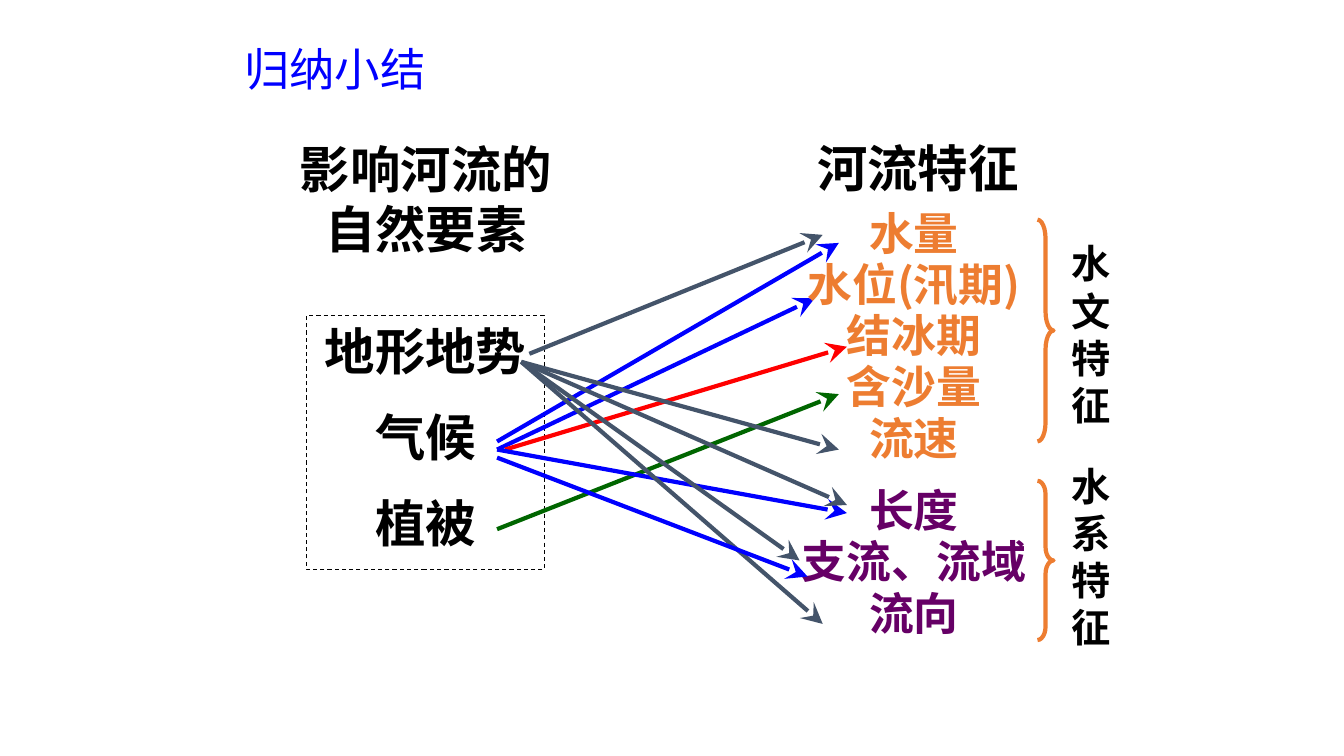
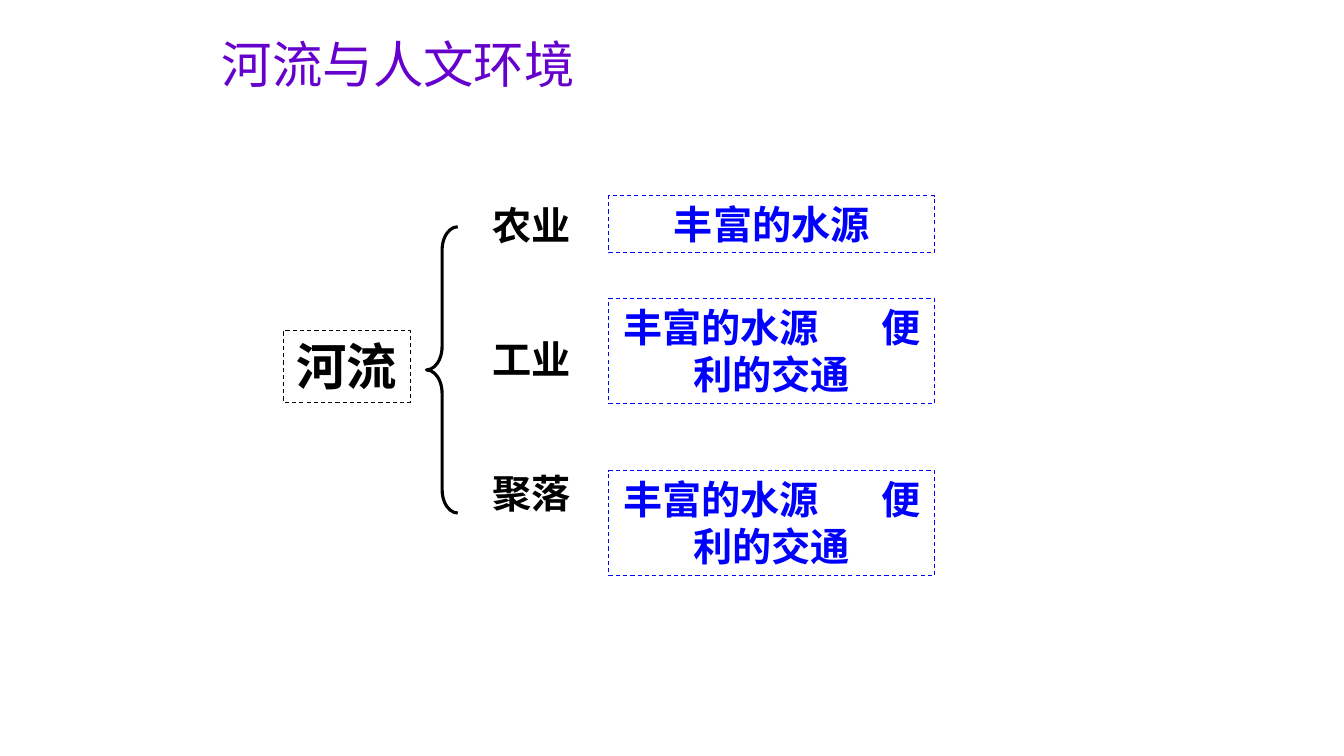
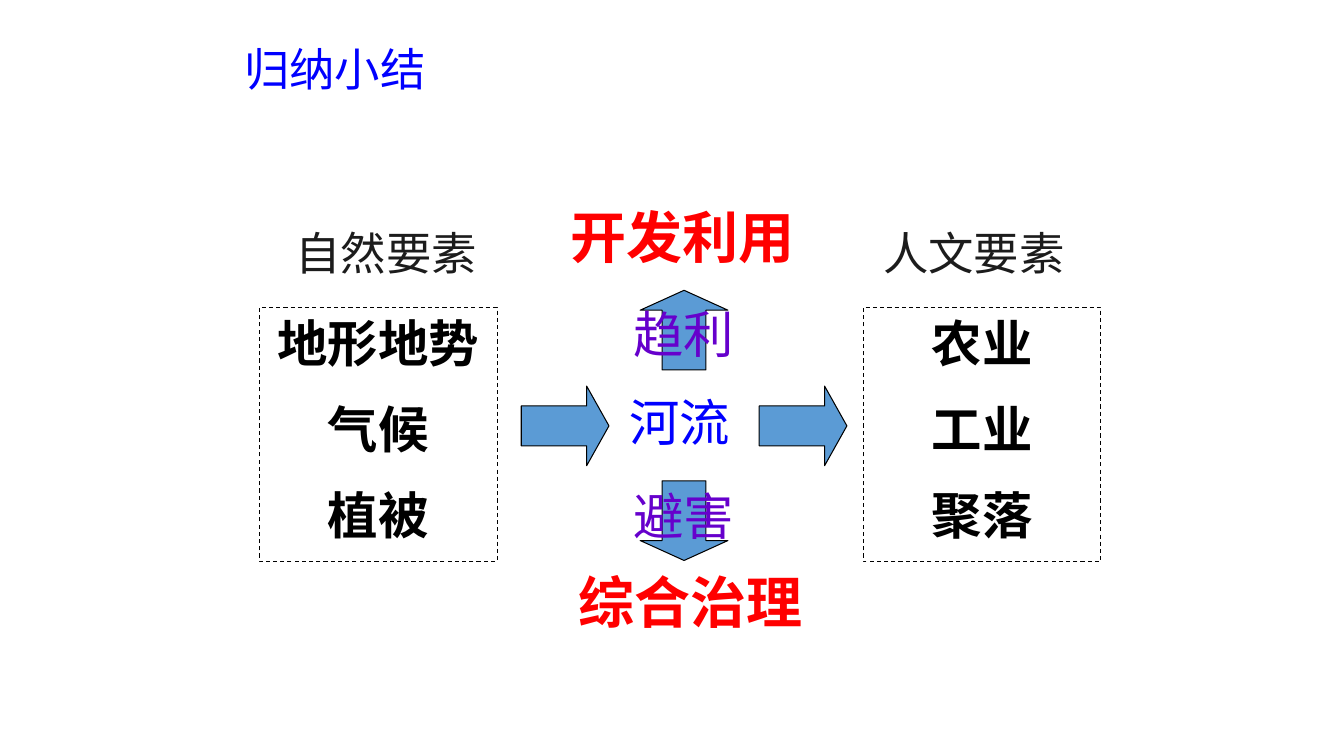
"""Build three slides on rivers, their natural causes and their human uses."""
import dataclasses

import lxml.etree
import pptx
import pptx.dml.color
import pptx.enum.dml
import pptx.enum.shapes
import pptx.enum.text
import pptx.oxml.ns
import pptx.util

Inches = pptx.util.Inches
Shape = pptx.enum.shapes.MSO_SHAPE
Align = pptx.enum.text.PP_ALIGN
qn = pptx.oxml.ns.qn


@dataclasses.dataclass(frozen=True)
class Theme:
    """Colours, fonts and type sizes shared by the slides."""
    black: str = "000000"
    ink: str = "1C1C1C"
    blue: str = "0000FF"
    red: str = "FF0000"
    green: str = "006600"
    slate: str = "44546A"
    orange: str = "ED7D31"
    plum: str = "660066"
    violet: str = "6600CC"
    sky: str = "5B9BD5"
    latin: str = "Arial"
    chinese: str = "Noto Sans CJK SC"
    small: float = 28
    list: float = 32
    title: float = 32.4
    large: float = 36
    huge: float = 40
    leading: float = 1.2
    tight: float = 1.14


THEME = Theme()
NATURE = ["地形地势", "气候", "植被"]
HUMAN = ["农业", "工业", "聚落"]


@dataclasses.dataclass(frozen=True)
class Style:
    """Look of the text in one box."""
    size: float = THEME.large
    color: str = THEME.black
    font: str = THEME.latin
    bold: bool = True
    align: Align = Align.CENTER
    leading: float = THEME.leading
    before: float = 0
    wrap: bool = True
    word_gap: float = 0


HEADING = Style()
STACK = Style(before=18)
SIDE = Style(size=THEME.small, align=Align.LEFT)
NEED = Style(size=THEME.small, color=THEME.blue, word_gap=38)
SLOGAN = Style(size=THEME.huge, color=THEME.red, align=Align.LEFT)
SUMMARY = Style(size=THEME.title, color=THEME.blue, font=THEME.chinese,
                bold=False, wrap=False)
TOPIC = dataclasses.replace(SUMMARY, size=THEME.large, color=THEME.violet)
RIVER = dataclasses.replace(TOPIC, color=THEME.blue)
FACTOR = dataclasses.replace(SUMMARY, color=THEME.ink)
WATER = Style(size=THEME.list, color=THEME.orange, font=THEME.chinese,
              leading=THEME.tight)
SYSTEM = dataclasses.replace(WATER, color=THEME.plum)


def rgb(code):
    """Return the colour for a hex code."""
    return pptx.dml.color.RGBColor.from_string(code)


def set_line(shape, color, width, dashed=False):
    """Set the outline of a shape or connector."""
    shape.line.color.rgb = rgb(color)
    shape.line.width = pptx.util.Pt(width)
    if dashed:
        shape.line.dash_style = pptx.enum.dml.MSO_LINE.DASH


def add_run(para, text, style):
    """Add one formatted run to a paragraph."""
    span = para.add_run()
    span.text = text
    span.font.size = pptx.util.Pt(style.size)
    span.font.bold = style.bold
    span.font.name = style.font
    span.font.color.rgb = rgb(style.color)
    if style.font == THEME.chinese:
        east = lxml.etree.SubElement(span.font._element, qn("a:ea"))
        east.set("typeface", style.font)
    if text == " ":
        span.font._element.set("spc", str(int(style.word_gap * 100)))


def write(box, lines, style):
    """Fill a box with one paragraph per line."""
    frame = box.text_frame
    frame.word_wrap = style.wrap
    frame.auto_size = pptx.enum.text.MSO_AUTO_SIZE.NONE
    frame.vertical_anchor = pptx.enum.text.MSO_ANCHOR.TOP
    for index, line in enumerate(lines):
        para = frame.add_paragraph() if index else frame.paragraphs[0]
        properties = para._p.get_or_add_pPr()
        properties.set("marL", "0")
        properties.set("indent", "0")
        lxml.etree.SubElement(properties, qn("a:buNone"))
        para.alignment = style.align
        para.line_spacing = pptx.util.Pt(style.size * style.leading)
        para.space_before = pptx.util.Pt(style.before if index else 0)
        for position, word in enumerate(line.split(" ")):
            if position:
                add_run(para, " ", style)
            add_run(para, word, style)


def fill_placeholder(page, index, at, lines, style, border=None):
    """Move a placeholder to its place in front and fill it."""
    box = page.placeholders[index]
    box.left, box.top, box.width, box.height = map(Inches, at)
    page.shapes.element.append(box.element)
    write(box, lines, style)
    if border:
        set_line(box, border, 0.75, dashed=True)


def add_text(page, at, lines, style):
    """Add a plain text box."""
    write(page.shapes.add_textbox(*map(Inches, at)), lines, style)


def add_figure(page, kind, at, adjustments=(), fill=None):
    """Add a preset shape without shadow."""
    shape = page.shapes.add_shape(kind, *map(Inches, at))
    shape.shadow.inherit = False
    for index, value in enumerate(adjustments):
        shape.adjustments[index] = value
    if fill:
        shape.fill.solid()
        shape.fill.fore_color.rgb = rgb(fill)
    else:
        shape.fill.background()
    return shape


def add_frame(page, at, lines, style):
    """Add a dashed rectangle with text in the colour of its border."""
    box = add_figure(page, Shape.RECTANGLE, at)
    set_line(box, style.color, 0.75, dashed=True)
    write(box, lines, style)


def add_brace(page, kind, at, curve, color, width):
    """Add a curly brace."""
    set_line(add_figure(page, kind, at, (curve, 0.5)), color, width)


def add_block_arrow(page, kind, left, top, head):
    """Add a filled block arrow."""
    at = (left, top, 0.87, 0.79)
    arrow = add_figure(page, kind, at, (0.5, head), THEME.sky)
    set_line(arrow, THEME.black, 0.75)


def add_links(page, links):
    """Add arrows given as colour, start and end."""
    for color, start, end in links:
        link = page.shapes.add_connector(
            pptx.enum.shapes.MSO_CONNECTOR.STRAIGHT,
            *map(Inches, start + end))
        set_line(link, color, 3)
        head = lxml.etree.SubElement(link.line._get_or_add_ln(), qn("a:tailEnd"))
        for name, value in (("type", "stealth"), ("w", "lg"), ("len", "lg")):
            head.set(name, value)
        lxml.etree.SubElement(link._element.spPr, qn("a:effectLst"))


def add_page(deck, layout, title, at, style):
    """Add a slide with its title."""
    page = deck.slides.add_slide(deck.slide_layouts[layout])
    fill_placeholder(page, 0, at, [title], style)
    return page


def add_summary_page(deck):
    """Add a comparison slide titled as a summary."""
    return add_page(deck, 4, "归纳小结", (2.1, 0.36, 2.44, 0.63), SUMMARY)


def build_features(deck):
    """Link natural factors to the features of a river."""
    page = add_summary_page(deck)
    fill_placeholder(page, 1, (2.73, 1.32, 2.99, 1.31),
                     ["影响河流的自然要素"], HEADING)
    fill_placeholder(page, 2, (3.04, 3.13, 2.36, 2.52), NATURE, STACK,
                     THEME.black)
    climate, terrain = (4.93, 4.46), (5.17, 3.59)
    add_links(page, [
        (THEME.blue, (4.93, 4.38), (8.32, 2.41)),
        (THEME.blue, climate, (8.08, 2.96)),
        (THEME.red, (5.01, 4.46), (8.4, 3.44)),
        (THEME.green, (4.93, 5.25), (8.32, 3.91)),
        (THEME.blue, climate, (8.4, 5.09)),
        (THEME.slate, terrain, (8.4, 5.01)),
    ])
    fill_placeholder(page, 3, (7.61, 1.31, 2.99, 0.71), ["河流特征"], HEADING)
    fill_placeholder(page, 4, (7.53, 2.02, 3.07, 2.66),
                     ["水量", "水位(汛期)", "结冰期", "含沙量", "流速"], WATER)
    add_text(page, (7.53, 4.77, 3.07, 1.63),
             ["长度", "支流、流域", "流向"], SYSTEM)
    for label, label_top, top, height, curve in (
            ("水文特征", 2.33, 2.18, 2.2, 1.18),
            ("水系特征", 4.54, 4.77, 1.58, 0.84)):
        add_brace(page, Shape.RIGHT_BRACE, (10.29, top, 0.16, height),
                  curve, THEME.orange, 3)
        add_text(page, (10.53, label_top, 0.87, 1.98), [label], SIDE)
    add_links(page, [
        (THEME.slate, terrain, (8.32, 4.46)),
        (THEME.slate, terrain, (7.93, 5.56)),
        (THEME.slate, terrain, (8.16, 6.19)),
        (THEME.blue, (4.93, 4.54), (8.01, 5.72)),
        (THEME.slate, (5.25, 3.51), (8.16, 2.33)),
    ])


def build_human(deck):
    """Show what a river gives to each human activity."""
    page = add_page(deck, 1, "河流与人文环境", (1.95, 0.28, 4, 0.72), TOPIC)
    add_frame(page, (2.81, 3.28, 1.26, 0.71), ["河流"], HEADING)
    add_brace(page, Shape.LEFT_BRACE, (4.23, 2.25, 0.31, 2.84), 0.75,
              THEME.black, 2.25)
    fill_placeholder(page, 1, (4.78, 1.95, 1.2, 3.4), HUMAN,
                     dataclasses.replace(SIDE, before=62))
    water, transport = "丰富的水源", "丰富的水源 便利的交通"
    for top, height, need in ((1.94, 0.57, water), (2.96, 1.04, transport),
                              (4.67, 1.04, transport)):
        add_frame(page, (6.04, top, 3.23, height), [need], NEED)


def build_overview(deck):
    """Place the river between natural and human factors."""
    page = add_summary_page(deck)
    for index, left, heading_left, heading, items in (
            (1, 2.57, 2.73, "自然要素", NATURE),
            (3, 8.56, 8.56, "人文要素", HUMAN)):
        fill_placeholder(page, index, (heading_left, 2.18, 2.2, 0.63),
                         [heading], FACTOR)
        fill_placeholder(page, index + 1, (left, 3.05, 2.36, 2.52), items,
                         STACK, THEME.black)
    add_text(page, (6.11, 3.83, 1.26, 0.79), ["河流"], RIVER)
    for left in (5.17, 7.53):
        add_block_arrow(page, Shape.RIGHT_ARROW, left, 3.83, 0.28)
    for kind, top, aim, aim_top, slogan, slogan_at in (
            (Shape.UP_ARROW, 2.88, "趋利", 2.96, "开发利用", (5.56, 1.96)),
            (Shape.DOWN_ARROW, 4.77, "避害", 4.76, "综合治理", (5.64, 5.58))):
        add_block_arrow(page, kind, 6.35, top, 0.25)
        add_text(page, slogan_at + (2.6, 0.77), [slogan], SLOGAN)
        add_text(page, (6.27, aim_top, 1.02, 0.64), [aim], TOPIC)


def main():
    """Build and save the deck."""
    deck = pptx.Presentation()
    deck.slide_width, deck.slide_height = Inches(13.33), Inches(7.5)
    build_features(deck)
    build_human(deck)
    build_overview(deck)
    deck.save("out.pptx")


if __name__ == "__main__":
    main()
